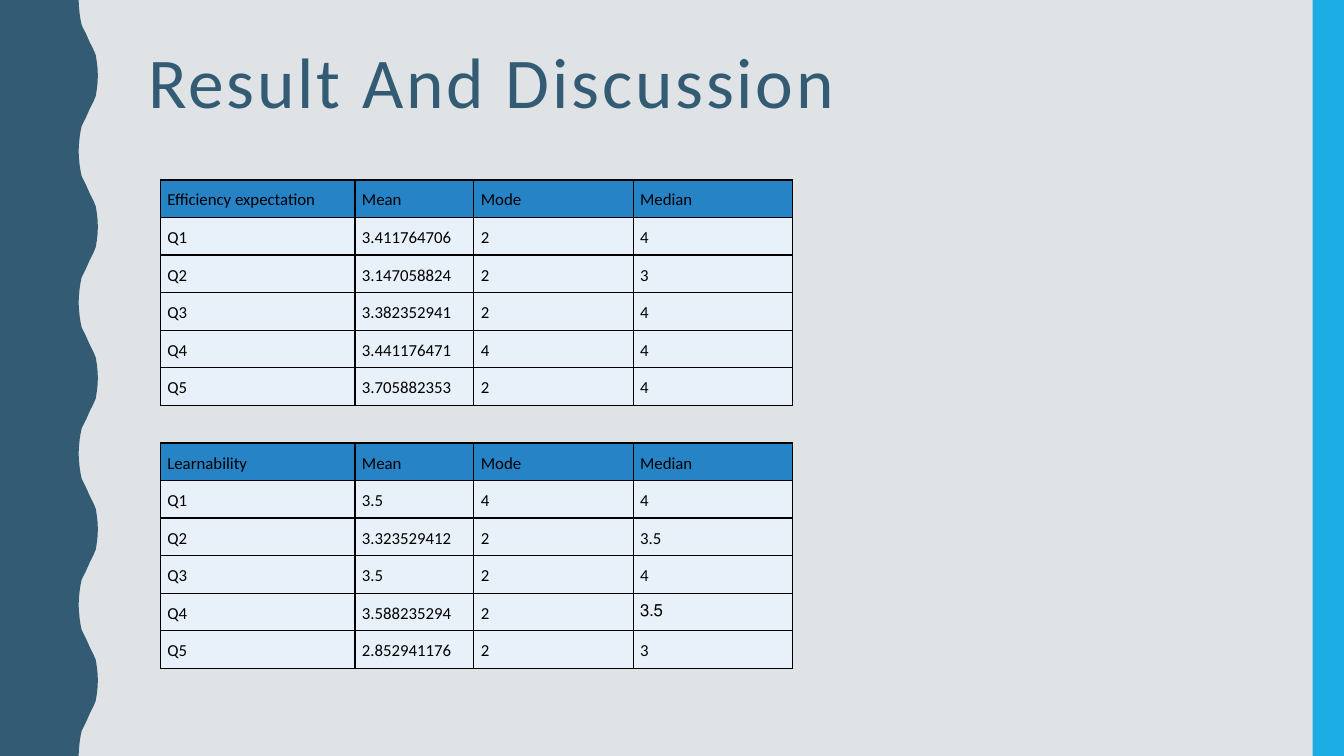
import dataclasses
import itertools
import lxml.etree
import pptx
import pptx.dml.color
import pptx.enum.shapes
import pptx.oxml.ns
import pptx.util


@dataclasses.dataclass(frozen=True)
class Theme:
    background: str = "DFE3E5"
    navy: str = "335B74"
    accent: str = "1CADE4"
    header: str = "2683C6"
    body: str = "E8F1FA"
    ink: str = "000000"
    font: str = "Calibri"
    title_size: float = 51
    cell_size: float = 12


@dataclasses.dataclass(frozen=True)
class Survey:
    top: float
    topic: str
    answers: list[tuple[str, str, str]]
    right_to_left: tuple[int, int] | None = None


THEME = Theme()
WIDTH, HEIGHT = pptx.util.Inches(13.33), pptx.util.Inches(7.5)

# Lengths are percentages of the slide's width or height
TABLE_LEFT = 11.93
COLUMNS = (14.48, 8.85, 11.85, 11.85)
ROW = 4.97
CELL_INSET = pptx.util.Inches(0.07)
STATISTICS = ("Mean", "Mode", "Median")
WAVE_PERIOD = 20
# Rising half of one wave, as (x, y), from trough to crest
WAVE_RISE = [
    (5.85, 0), (5.88, 0.93), (5.93, 1.87), (6, 2.67), (6.08, 3.33),
    (6.23, 3.87), (6.38, 4.4), (6.53, 5), (6.68, 5.6), (6.83, 6.13),
    (6.98, 6.67), (7.13, 7.33), (7.2, 8.13), (7.26, 9.07), (7.28, 10),
]
SURVEYS = [
    Survey(23.8, "Efficiency expectation", [
        ("3.411764706", "2", "4"), ("3.147058824", "2", "3"),
        ("3.382352941", "2", "4"), ("3.441176471", "4", "4"),
        ("3.705882353", "2", "4")]),
    Survey(58.6, "Learnability", [
        ("3.5", "4", "4"), ("3.323529412", "2", "3.5"),
        ("3.5", "2", "4"), ("3.588235294", "2", "3.5"),
        ("2.852941176", "2", "3")], right_to_left=(4, 3)),
]


def across(percent: float) -> int:
    return round(WIDTH * percent / 100)


def down(percent: float) -> int:
    return round(HEIGHT * percent / 100)


def paint(fill, colour: str) -> None:
    fill.solid()
    fill.fore_color.rgb = pptx.dml.color.RGBColor.from_string(colour)


def finish(shape, colour: str) -> None:
    paint(shape.fill, colour)
    shape.line.fill.background()
    shape.shadow.inherit = False


def write(paragraph, text: str, size: float, colour: str, spacing: float):
    paragraph.line_spacing = spacing
    run = paragraph.add_run()
    run.text = text
    run.font.name = THEME.font
    run.font.size = pptx.util.Pt(size)
    run.font.color.rgb = pptx.dml.color.RGBColor.from_string(colour)
    return run


def outline(cell) -> None:
    properties = cell._tc.get_or_add_tcPr()
    for position, side in enumerate(("lnL", "lnR", "lnT", "lnB")):
        border = lxml.etree.Element(pptx.oxml.ns.qn(f"a:{side}"), w="12700")
        solid = lxml.etree.SubElement(border, pptx.oxml.ns.qn("a:solidFill"))
        lxml.etree.SubElement(solid, pptx.oxml.ns.qn("a:srgbClr"), val=THEME.ink)
        properties.insert(position, border)


def draw_wave(slide) -> None:
    fall = [(x, WAVE_PERIOD - y) for x, y in reversed(WAVE_RISE[1:-1])]
    edge = [(x, y + start)
            for start, (x, y) in itertools.product(range(0, 100, WAVE_PERIOD), WAVE_RISE + fall)]
    edge += [(WAVE_RISE[0][0], 100), (0, 100)]
    builder = slide.shapes.build_freeform(0, 0)
    builder.add_line_segments([(across(x), down(y)) for x, y in edge], close=True)
    finish(builder.convert_to_shape(), THEME.navy)


def draw_survey(slide, survey: Survey) -> None:
    rows = [(survey.topic, *STATISTICS)]
    rows += [(f"Q{number}", *answer) for number, answer in enumerate(survey.answers, 1)]
    table = slide.shapes.add_table(
        len(rows), len(COLUMNS), across(TABLE_LEFT), down(survey.top),
        across(sum(COLUMNS)), down(ROW * len(rows))).table
    for column, share in zip(table.columns, COLUMNS):
        column.width = across(share)
    for r, values in enumerate(rows):
        table.rows[r].height = down(ROW)
        for c, value in enumerate(values):
            cell = table.cell(r, c)
            cell.margin_left = cell.margin_right = CELL_INSET
            cell.margin_top = cell.margin_bottom = CELL_INSET
            paint(cell.fill, THEME.body if r else THEME.header)
            outline(cell)
            paragraph = cell.text_frame.paragraphs[0]
            run = write(paragraph, value, THEME.cell_size, THEME.ink, 1.15)
            run.font.bold = False
            if (r, c) == survey.right_to_left:
                direction = paragraph._p.get_or_add_pPr()
                direction.set("algn", "l")
                direction.set("rtl", "1")


presentation = pptx.Presentation()
presentation.slide_width, presentation.slide_height = WIDTH, HEIGHT
slide = presentation.slides.add_slide(presentation.slide_layouts[6])
paint(slide.background.fill, THEME.background)

# Side decoration
draw_wave(slide)
side_bar = slide.shapes.add_shape(
    pptx.enum.shapes.MSO_SHAPE.RECTANGLE, across(97.67), 0, across(2.33), HEIGHT)
finish(side_bar, THEME.accent)

# Title
title = slide.shapes.add_textbox(across(10.28), down(5.6), across(83.5), down(21.73))
title.text_frame.word_wrap = True
heading = write(title.text_frame.paragraphs[0], "Result And Discussion",
                THEME.title_size, THEME.navy, 0.9)
heading.font._element.set("spc", "200")

# Survey results
for survey in SURVEYS:
    draw_survey(slide, survey)

presentation.save("out.pptx")
